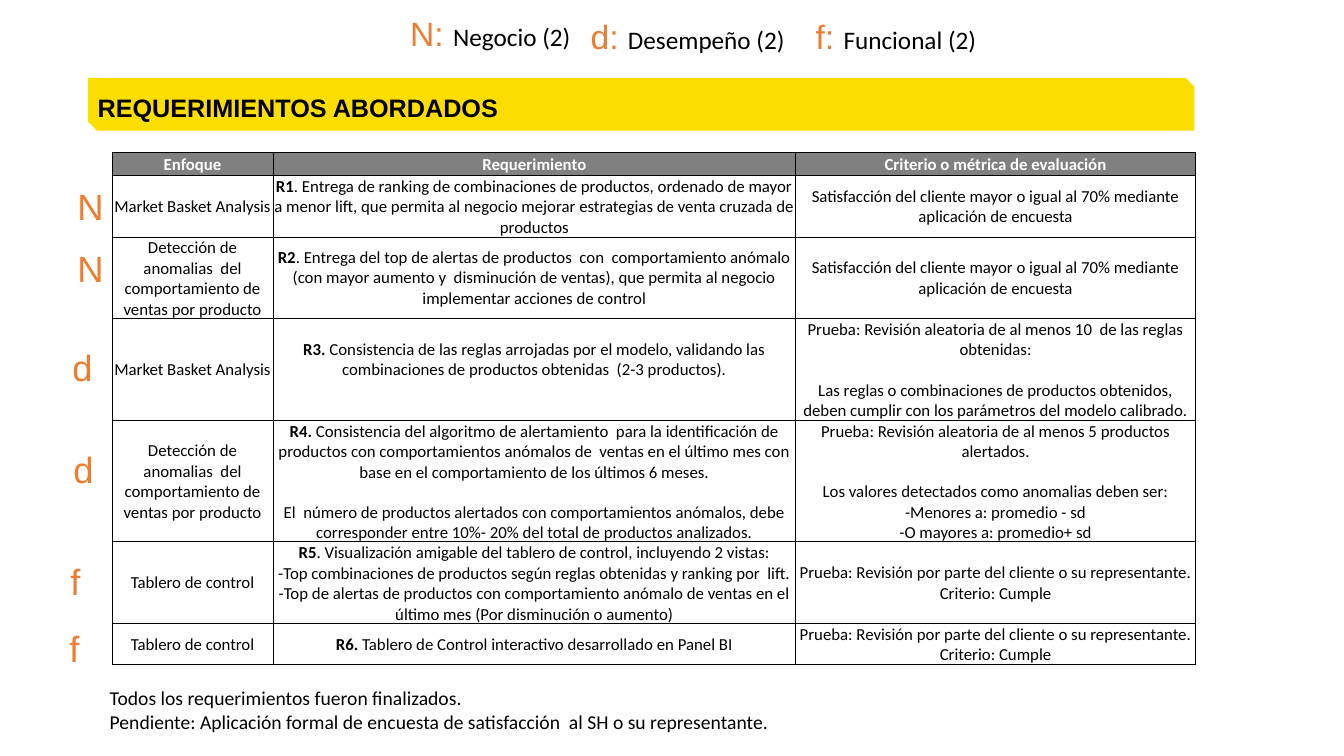
"""Build the slide of addressed requirements with its table, legend and row markers."""
import lxml.etree
import pptx
import pptx.dml.color
import pptx.enum.shapes
import pptx.enum.text
import pptx.oxml.ns
import pptx.util

PX = 9144
SLIDE_SIZE = (1333, 750)
BLACK, WHITE, GRAY, YELLOW, ORANGE = "000000", "FFFFFF", "808080", "FCDD00", "ED7D31"
LINE_GAP = 14

TITLE = "REQUERIMIENTOS ABORDADOS"
LEGEND = [
    ("N: ", "Negocio (2)", (397, 8, 179, 50)),
    ("d: ", "Desempeño (2)", (576, 11, 233, 50)),
    ("f: ", "Funcional (2)", (799, 11, 189, 50)),
]
MARKERS = [("N", 67, 178), ("N", 67, 239), ("d", 62, 337),
           ("d", 63, 439), ("f", 60, 550), ("f", 59, 616)]
NOTES = [
    "Todos los requerimientos fueron finalizados.",
    "Pendiente: Aplicación formal de encuesta de satisfacción  al SH o su representante.",
]

HEADERS = ["Enfoque", "Requerimiento", "Criterio o métrica de evaluación"]
BASKET = "Market Basket Analysis"
ANOMALIES = "Detección de anomalias  del comportamiento de ventas por producto"
BOARD = "Tablero de control"
SURVEY = ["Satisfacción del cliente mayor o igual al 70% mediante aplicación de encuesta"]
REVIEW = ["Prueba: Revisión por parte del cliente o su representante.", "Criterio: Cumple"]
REQUIREMENTS = [
    (BASKET, "R1", [". Entrega de ranking de combinaciones de productos, ordenado de mayor a menor "
                    "lift, que permita al negocio mejorar estrategias de venta cruzada de productos"],
     SURVEY),
    (ANOMALIES, "R2", [". Entrega del top de alertas de productos  con  comportamiento anómalo (con "
                       "mayor aumento y  disminución de ventas), que permita al negocio implementar "
                       "acciones de control"], SURVEY),
    (BASKET, "R3.", [" Consistencia de las reglas arrojadas por el modelo, validando las "
                     "combinaciones de productos obtenidas  (2-3 productos)."],
     ["Prueba: Revisión aleatoria de al menos 10  de las reglas obtenidas:",
      "Las reglas o combinaciones de productos obtenidos, deben cumplir con los parámetros "
      "del modelo calibrado."]),
    (ANOMALIES, "R4.", [" Consistencia del algoritmo de alertamiento  para la identificación de "
                        "productos con comportamientos anómalos de  ventas en el último mes con base "
                        "en el comportamiento de los últimos 6 meses.",
                        "El  número de productos alertados con comportamientos anómalos, debe "
                        "corresponder entre 10%- 20% del total de productos analizados."],
     ["Prueba: Revisión aleatoria de al menos 5 productos alertados.",
      "Los valores detectados como anomalias deben ser:",
      "-Menores a: promedio - sd", "-O mayores a: promedio+ sd"]),
    (BOARD, "R5", [". Visualización amigable del tablero de control, incluyendo 2 vistas:",
                   "-Top combinaciones de productos según reglas obtenidas y ranking por  lift.",
                   "-Top de alertas de productos con comportamiento anómalo de ventas en el último "
                   "mes (Por disminución o aumento)"], REVIEW),
    (BOARD, "R6.", [" Tablero de Control interactivo desarrollado en Panel BI"], REVIEW),
]
SPACED_STARTS = ("Las reglas", "El  número", "Los valores")
TABLE_LEFT, TABLE_TOP = 111, 151
COLUMN_WIDTHS = [160, 518, 397]
ROW_HEIGHTS = [23, 61, 80, 101, 120, 81, 40]
RAISED_CELL = (3, 1)


def px(values):
    return [pptx.util.Emu(value * PX) for value in values]


def color(hex_value):
    return pptx.dml.color.RGBColor.from_string(hex_value)


def set_font(font, size, name, hex_value, bold=False):
    font.size, font.name, font.bold = pptx.util.Pt(size), name, bold
    font.color.rgb = color(hex_value)


def add_text(slide, box, lines, size, name, hex_value, bold=False):
    frame = slide.shapes.add_textbox(*px(box)).text_frame
    frame.word_wrap = True
    frame.auto_size = pptx.enum.text.MSO_AUTO_SIZE.SHAPE_TO_FIT_TEXT
    frame.text = "\n".join(lines)
    for paragraph in frame.paragraphs:
        set_font(paragraph.font, size, name, hex_value, bold)
    return frame


def add_borders(cell):
    properties = cell._tc.get_or_add_tcPr()
    for index, side in enumerate(("lnL", "lnR", "lnT", "lnB")):
        line = lxml.etree.Element(pptx.oxml.ns.qn("a:" + side), w="6350")
        fill = lxml.etree.SubElement(line, pptx.oxml.ns.qn("a:solidFill"))
        lxml.etree.SubElement(fill, pptx.oxml.ns.qn("a:srgbClr"), val=BLACK)
        properties.insert(index, line)


def fill_cell(cell, code, lines, header):
    cell.vertical_anchor = pptx.enum.text.MSO_ANCHOR.MIDDLE
    cell.margin_left, cell.margin_right, cell.margin_top, cell.margin_bottom = px((1, 1, 1, 0))
    if header:
        cell.fill.solid()
        cell.fill.fore_color.rgb = color(GRAY)
    else:
        cell.fill.background()
    add_borders(cell)
    frame = cell.text_frame
    for index, line in enumerate(lines):
        paragraph = frame.add_paragraph() if index else frame.paragraphs[0]
        paragraph.alignment = pptx.enum.text.PP_ALIGN.CENTER
        if line.startswith(SPACED_STARTS):
            paragraph.space_before = pptx.util.Pt(LINE_GAP)
        if code and index == 0:
            set_font(add_run(paragraph, code).font, 12, "Calibri", BLACK, True)
        set_font(add_run(paragraph, line).font, 12, "Calibri", WHITE if header else BLACK, header)


def add_run(paragraph, text):
    run = paragraph.add_run()
    run.text = text
    return run


def add_requirements(slide):
    rows = [[("", [header]) for header in HEADERS]]
    rows += [[("", [focus]), (code, lines), ("", criteria)]
             for focus, code, lines, criteria in REQUIREMENTS]
    box = (TABLE_LEFT, TABLE_TOP, sum(COLUMN_WIDTHS), sum(ROW_HEIGHTS))
    table = slide.shapes.add_table(len(rows), len(HEADERS), *px(box)).table
    table.first_row = table.horz_banding = False
    for column, width in zip(table.columns, px(COLUMN_WIDTHS)):
        column.width = width
    for row, height in zip(table.rows, px(ROW_HEIGHTS)):
        row.height = height
    for row_index, row in enumerate(rows):
        for column_index, (code, lines) in enumerate(row):
            fill_cell(table.cell(row_index, column_index), code, lines, row_index == 0)
    table.cell(*RAISED_CELL).margin_bottom = px([20])[0]


def main():
    presentation = pptx.Presentation()
    presentation.slide_width, presentation.slide_height = px(SLIDE_SIZE)
    slide = presentation.slides.add_slide(presentation.slide_layouts[6])

    banner = slide.shapes.add_shape(
        pptx.enum.shapes.MSO_SHAPE.SNIP_2_DIAG_RECTANGLE, *px((88, 78, 1096, 51)))
    banner.rotation = 180
    banner.shadow.inherit = False
    banner.fill.solid()
    banner.fill.fore_color.rgb = color(YELLOW)
    banner.line.color.rgb = color(YELLOW)
    banner.line.width = pptx.util.Pt(1)
    add_text(slide, (87, 87, 1111, 40), [TITLE], 18, "Arial", BLACK, True)

    add_requirements(slide)
    for letter, label, box in LEGEND:
        frame = add_text(slide, box, [letter], 24, "Arial", ORANGE)
        set_font(add_run(frame.paragraphs[0], label).font, 18, "Calibri", BLACK)
    for letter, left, top in MARKERS:
        add_text(slide, (left, top, 40, 54), [letter], 26, "Arial", ORANGE)
    add_text(slide, (99, 676, 1166, 57), NOTES, 14, "Calibri", BLACK)
    presentation.save("out.pptx")


if __name__ == "__main__":
    main()
